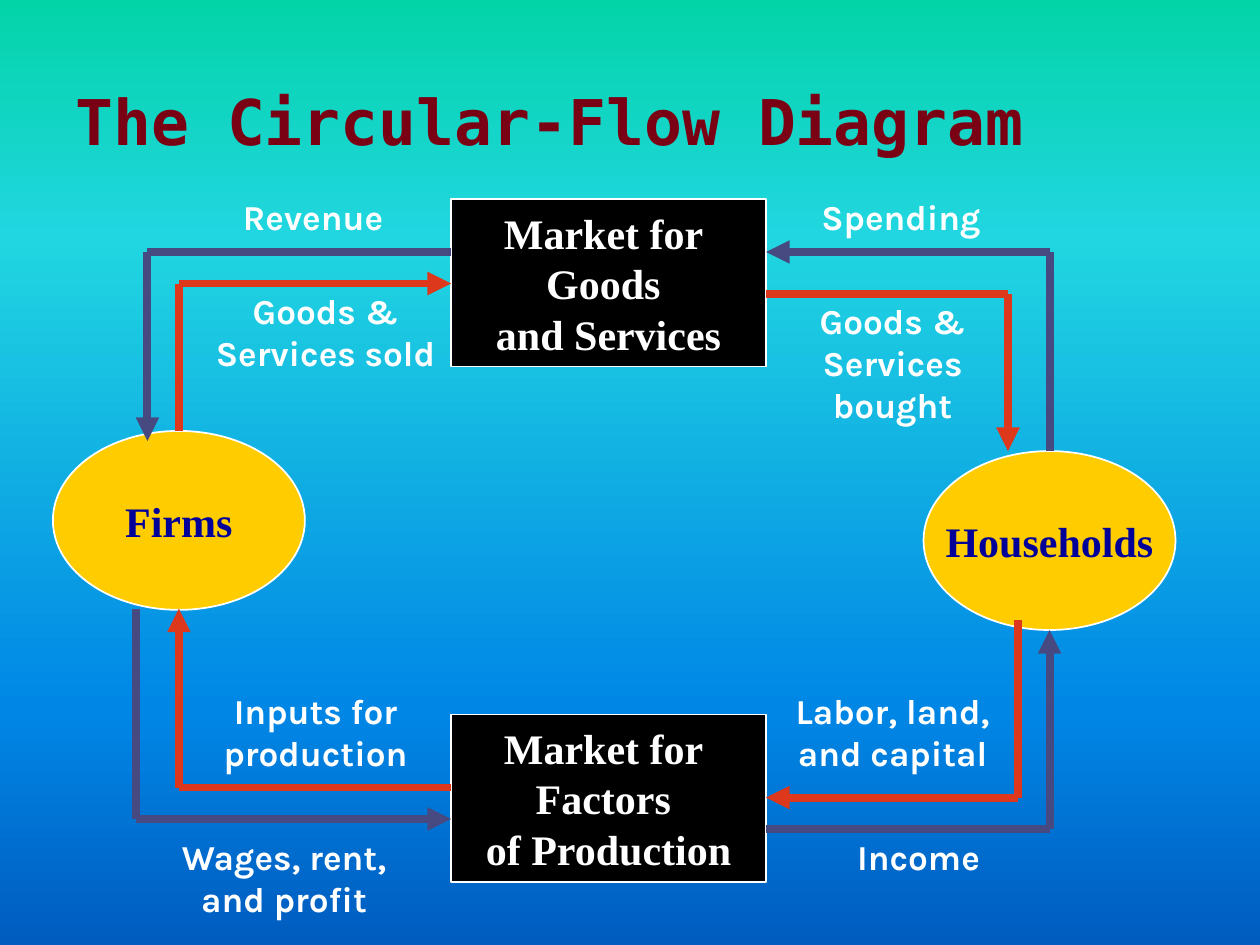
from copy import deepcopy
from dataclasses import dataclass
from itertools import pairwise

from lxml.etree import SubElement
from pptx import Presentation
from pptx.dml.color import RGBColor
from pptx.enum.shapes import MSO_CONNECTOR as Connector, MSO_SHAPE as Preset
from pptx.enum.text import MSO_ANCHOR as Anchor, PP_ALIGN as Align
from pptx.oxml.ns import qn
from pptx.util import Inches, Pt


@dataclass(frozen=True)
class Theme:
    title_font: str = "DejaVu Sans Mono"
    node_font: str = "Times New Roman"
    label_font: str = "Karla"
    title_size: int = 36
    node_size: int = 24
    label_size: int = 20
    title: str = "7A0014"
    white: str = "FFFFFF"
    actor: str = "FFCC00"
    actor_text: str = "000099"
    market: str = "000000"
    money: str = "474A81"
    goods: str = "DE381C"
    outline_width: float = 1
    flow_width: float = 4.5
    background: tuple = ((0, "03D4A8"), (0.25, "21D6E0"),
                         (0.75, "0087E6"), (1, "005CBF"))


def write_text(shape, text, *, font, size, color, align=Align.CENTER,
               anchor=Anchor.TOP, wrap=True):
    frame = shape.text_frame
    frame.word_wrap = wrap
    frame.vertical_anchor = anchor
    for index, line in enumerate(text.split("\n")):
        paragraph = frame.add_paragraph() if index else frame.paragraphs[0]
        paragraph.alignment = align
        run = paragraph.add_run()
        run.text = line
        run.font.name = font
        run.font.size = Pt(size)
        run.font.bold = True
        run.font.color.rgb = RGBColor.from_string(color)


class FlowSlide:
    def __init__(self, slide, theme):
        self.slide = slide
        self.shapes = slide.shapes
        self.theme = theme

    def background(self):
        fill = self.slide.background.fill
        fill.gradient()
        fill.gradient_angle = 270
        stop_list = self.slide.element.find(".//" + qn("a:gsLst"))
        while len(stop_list) < len(self.theme.background):
            stop_list.append(deepcopy(stop_list[0]))
        for stop, (position, color) in zip(fill.gradient_stops, self.theme.background):
            stop.position = position
            stop.color.rgb = RGBColor.from_string(color)

    def text_box(self, text, box, **text_format):
        shape = self.shapes.add_textbox(*map(Inches, box))
        write_text(shape, text, **text_format)

    def title(self, text, box):
        self.text_box(text, box, font=self.theme.title_font,
                      size=self.theme.title_size, color=self.theme.title,
                      align=Align.LEFT, anchor=Anchor.MIDDLE)

    def label(self, text, box, align=Align.CENTER):
        self.text_box(text, box, font=self.theme.label_font,
                      size=self.theme.label_size, color=self.theme.white, align=align)

    def node(self, text, preset, box, fill, color):
        shape = self.shapes.add_shape(preset, *map(Inches, box))
        shape.shadow.inherit = False
        shape.fill.solid()
        shape.fill.fore_color.rgb = RGBColor.from_string(fill)
        shape.line.color.rgb = RGBColor.from_string(self.theme.white)
        shape.line.width = Pt(self.theme.outline_width)
        write_text(shape, text, font=self.theme.node_font, size=self.theme.node_size,
                   color=color, anchor=Anchor.MIDDLE, wrap=False)

    def actor(self, text, left, top):
        self.node(text, Preset.OVAL, (left, top, 2, 1.42),
                  self.theme.actor, self.theme.actor_text)

    def market(self, text, top):
        self.node(text, Preset.RECTANGLE, (3.58, top, 2.5, 1.33),
                  self.theme.market, self.theme.white)

    def flow(self, color, *points):
        """Join the points with straight lines; the last one ends in an arrowhead."""
        for start, end in pairwise(points):
            line = self.shapes.add_connector(
                Connector.STRAIGHT, *map(Inches, (*start, *end)))
            line.line.color.rgb = RGBColor.from_string(color)
            line.line.width = Pt(self.theme.flow_width)
            if end == points[-1]:
                SubElement(line.line._get_or_add_ln(), qn("a:tailEnd"), type="triangle")
            SubElement(line._element.spPr, qn("a:effectLst"))


presentation = Presentation()
presentation.slide_width = Inches(10)
presentation.slide_height = Inches(7.5)
theme = Theme()
diagram = FlowSlide(presentation.slides.add_slide(presentation.slide_layouts[6]), theme)

# Background and title
diagram.background()
diagram.title("The Circular-Flow Diagram", (0.5, 0.33, 8.5, 1.25))

# Actors and markets
diagram.actor("Firms", 0.42, 3.42)
diagram.actor("Households", 7.33, 3.58)
diagram.market("Market for \nFactors \nof Production", 5.67)
diagram.market("Market for \nGoods \nand Services", 1.58)

# Money flows
market_left, market_right = 3.58, 6.08
for points in (
    ((8.33, 3.58), (8.33, 2), (market_right, 2)),
    ((market_left, 2), (1.17, 2), (1.17, 3.5)),
    ((1.08, 4.83), (1.08, 6.5), (market_left, 6.5)),
    ((market_right, 6.58), (8.33, 6.58), (8.33, 5)),
):
    diagram.flow(theme.money, *points)

# Flows of goods and inputs
for points in (
    ((market_right, 2.33), (8, 2.33), (8, 3.58)),
    ((1.42, 3.42), (1.42, 2.25), (market_left, 2.25)),
    ((market_left, 6.25), (1.42, 6.25), (1.42, 4.83)),
    ((8.08, 4.92), (8.08, 6.33), (market_right, 6.33)),
):
    diagram.flow(theme.goods, *points)

# Flow labels
for text, left in (("Spending", 6.42), ("Revenue", 1.83)):
    diagram.label(text, (left, 1.5, 1.92, 0.44), Align.LEFT)
for text, box in (
    ("Wages, rent, and profit", (1.17, 6.58, 2.17, 0.77)),
    ("Income", (6.33, 6.58, 1.92, 0.44)),
    ("Goods & Services sold", (1.5, 2.25, 2.17, 0.77)),
    ("Goods & Services bought", (6, 2.33, 2.17, 1.11)),
    ("Labor, land, and capital", (6, 5.42, 2.17, 0.77)),
    ("Inputs for production", (1.42, 5.42, 2.17, 0.77)),
):
    diagram.label(text, box)

presentation.save("out.pptx")
